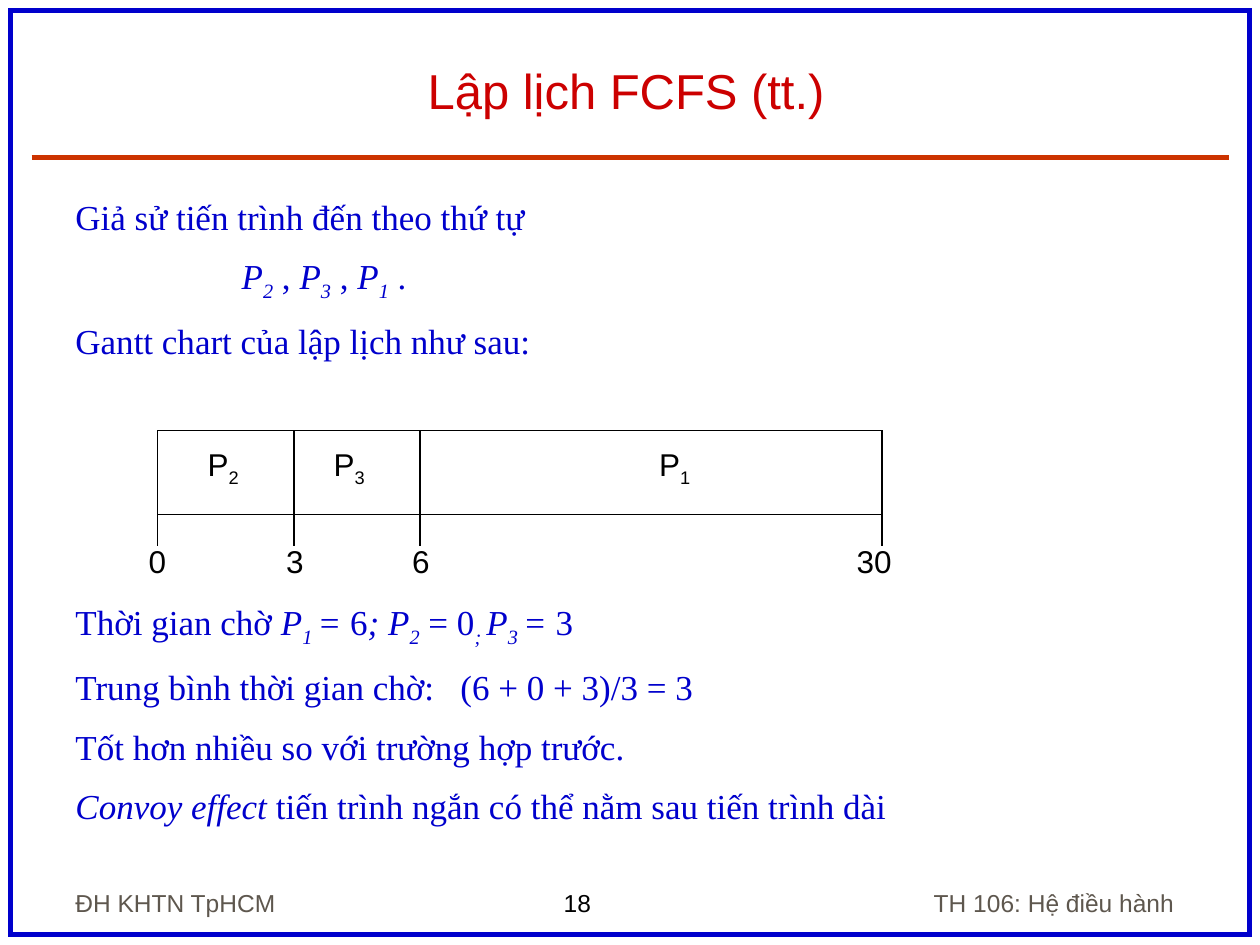
import lxml.etree
import pptx
import pptx.dml.color
import pptx.enum.shapes
import pptx.enum.text
import pptx.oxml.ns
import pptx.util

Pt = pptx.util.Pt
qn = pptx.oxml.ns.qn
ALIGN = pptx.enum.text.PP_ALIGN
ANCHOR = pptx.enum.text.MSO_ANCHOR

BLUE, RED, RULE, GREY, BLACK = "0000CC", "CC0000", "CC3300", "5E574E", "000000"
BODY = dict(font="Times New Roman", size=20, color=BLUE)

# Gantt chart: times with tick and label centres, processes with label centres
BAR_TOP, BAR_BOTTOM, TICK_BOTTOM = 246, 294, 312
LABEL_WIDTH = 48
TIMES = [("0", 90, 90), ("3", 168, 168.5), ("6", 240, 240.5), ("30", 504, 499.5)]
PROCESSES = [("2", 127.5), ("3", 199.5), ("1", 385.5)]


def rgb(color):
    return pptx.dml.color.RGBColor.from_string(color)


def add_run(p, text, font="Arial", size=18, color=BLACK, italic=False, sub=False):
    r = p.add_run()
    r.text = text
    r.font.name, r.font.size = font, Pt(size)
    r.font.color.rgb = rgb(color)
    r.font.italic = italic
    if sub:
        r.font._element.set("baseline", "-25000")


def add_runs(p, runs, **fmt):
    """Each run is (text, marks), where marks may hold i (italic) and s (subscript)."""
    for text, marks in runs:
        add_run(p, text, italic="i" in marks, sub="s" in marks, **fmt)


def add_box(slide, x, y, w, h, anchor=ANCHOR.TOP):
    tf = slide.shapes.add_textbox(Pt(x), Pt(y), Pt(w), Pt(h)).text_frame
    tf.word_wrap = True
    tf.vertical_anchor = anchor
    return tf


def add_label(slide, runs, x, y, w, h, align=ALIGN.CENTER,
              anchor=ANCHOR.MIDDLE, **fmt):
    p = add_box(slide, x, y, w, h, anchor).paragraphs[0]
    p.alignment = align
    add_runs(p, runs, **fmt)


def add_body(slide, y, h, lines):
    tf = add_box(slide, 36, y, 644, h)
    tf.margin_top = 0
    for i, (runs, indent, tab) in enumerate(lines):
        p = tf.add_paragraph() if i else tf.paragraphs[0]
        p.space_before = Pt(10 if i else 0)
        pPr = p._p.get_or_add_pPr()
        if indent:
            pPr.set("marL", str(Pt(indent)))
            pPr.set("indent", "0")
        if tab:
            tabs = lxml.etree.SubElement(pPr, qn("a:tabLst"))
            lxml.etree.SubElement(tabs, qn("a:tab"), pos=str(Pt(tab)), algn="l")
        add_runs(p, runs, **BODY)


def add_rect(slide, x, y, w, h, line, width, fill=None):
    sp = slide.shapes.add_shape(pptx.enum.shapes.MSO_SHAPE.RECTANGLE,
                                Pt(x), Pt(y), Pt(w), Pt(h))
    sp.shadow.inherit = False
    sp.line.color.rgb, sp.line.width = rgb(line), Pt(width)
    # Square corners
    ln = sp._element.spPr.find(qn("a:ln"))
    lxml.etree.SubElement(ln, qn("a:miter"), lim="800000")
    if fill:
        sp.fill.solid()
        sp.fill.fore_color.rgb = rgb(fill)
    else:
        sp.fill.background()


def add_line(slide, x1, y1, x2, y2, color=BLACK, width=0.75):
    c = slide.shapes.add_connector(pptx.enum.shapes.MSO_CONNECTOR.STRAIGHT,
                                   Pt(x1), Pt(y1), Pt(x2), Pt(y2))
    c.line.color.rgb, c.line.width = rgb(color), Pt(width)
    lxml.etree.SubElement(c._element.spPr, qn("a:effectLst"))


def set_title(slide, text):
    sp = slide.shapes.title
    sp.left, sp.top, sp.width, sp.height = Pt(31.5), Pt(18), Pt(652.5), Pt(54)
    tf = sp.text_frame
    tf.vertical_anchor = ANCHOR.BOTTOM
    tf.auto_size = pptx.enum.text.MSO_AUTO_SIZE.NONE
    p = tf.paragraphs[0]
    p.alignment = ALIGN.CENTER
    add_run(p, text, size=28, color=RED)


def add_gantt(slide):
    left, right = TIMES[0][1], TIMES[-1][1]
    add_rect(slide, left, BAR_TOP, right - left, BAR_BOTTOM - BAR_TOP,
             BLACK, 0.75, "FFFFFF")
    for number, x in PROCESSES:
        add_label(slide, [("P", ""), (number, "s")],
                  x - LABEL_WIDTH / 2, 251, LABEL_WIDTH, 31.5)
    for _, x, _ in TIMES[1:-1]:
        add_line(slide, x, BAR_TOP, x, BAR_BOTTOM)
    for time, x, center in TIMES:
        add_line(slide, x, BAR_BOTTOM, x, TICK_BOTTOM)
        add_label(slide, [(time, "")], center - LABEL_WIDTH / 2, 306, LABEL_WIDTH, 29)


def main():
    prs = pptx.Presentation()
    prs.slide_width, prs.slide_height = Pt(720), Pt(540)
    slide = prs.slides.add_slide(prs.slide_layouts[5])

    # Frame, title and rule
    add_rect(slide, 6, 6, 708, 528, BLUE, 3)
    set_title(slide, "Lập lịch FCFS (tt.)")
    add_line(slide, 18, 90, 702, 90, RULE, 3)

    # Arrival order, chart and results
    add_body(slide, 111.5, 110, [
        ([("Giả sử tiến trình đến theo thứ tự", "")], 0, 0),
        ([("P", "i"), ("2", "is"), (" , ", ""), ("P", "i"), ("3", "is"),
          (" , ", ""), ("P", "i"), ("1", "is"), (" .", "")], 95, 0),
        ([("Gantt chart của lập lịch như sau:", "")], 0, 0),
    ])
    add_gantt(slide)
    add_body(slide, 343, 135, [
        ([("Thời gian chờ ", ""), ("P", "i"), ("1 ", "is"), ("=", "i"), (" 6", ""),
          ("; P", "i"), ("2", "is"), (" = 0", ""), ("; ", "is"), ("P", "i"),
          ("3 ", "is"), ("= ", "i"), ("3", "")], 0, 0),
        ([("Trung bình thời gian chờ:\t(6 + 0 + 3)/3 = 3", "")], 0, 220),
        ([("Tốt hơn nhiều so với trường hợp trước.", "")], 0, 0),
        ([("Convoy effect", "i"),
          (" tiến trình ngắn có thể nằm sau tiến trình dài", "")], 0, 0),
    ])

    # Footer
    footer = dict(y=492, h=36, anchor=ANCHOR.BOTTOM, size=14, color=GREY)
    add_label(slide, [("ĐH KHTN TpHCM", "")], x=36, w=150, align=ALIGN.LEFT, **footer)
    add_label(slide, [("TH 106: Hệ điều hành", "")], x=480, w=198,
              align=ALIGN.RIGHT, **footer)
    add_label(slide, [("18", "")], 315, 504, 78, 24.5, ALIGN.LEFT, ANCHOR.TOP, size=14)

    prs.save("out.pptx")


if __name__ == "__main__":
    main()
